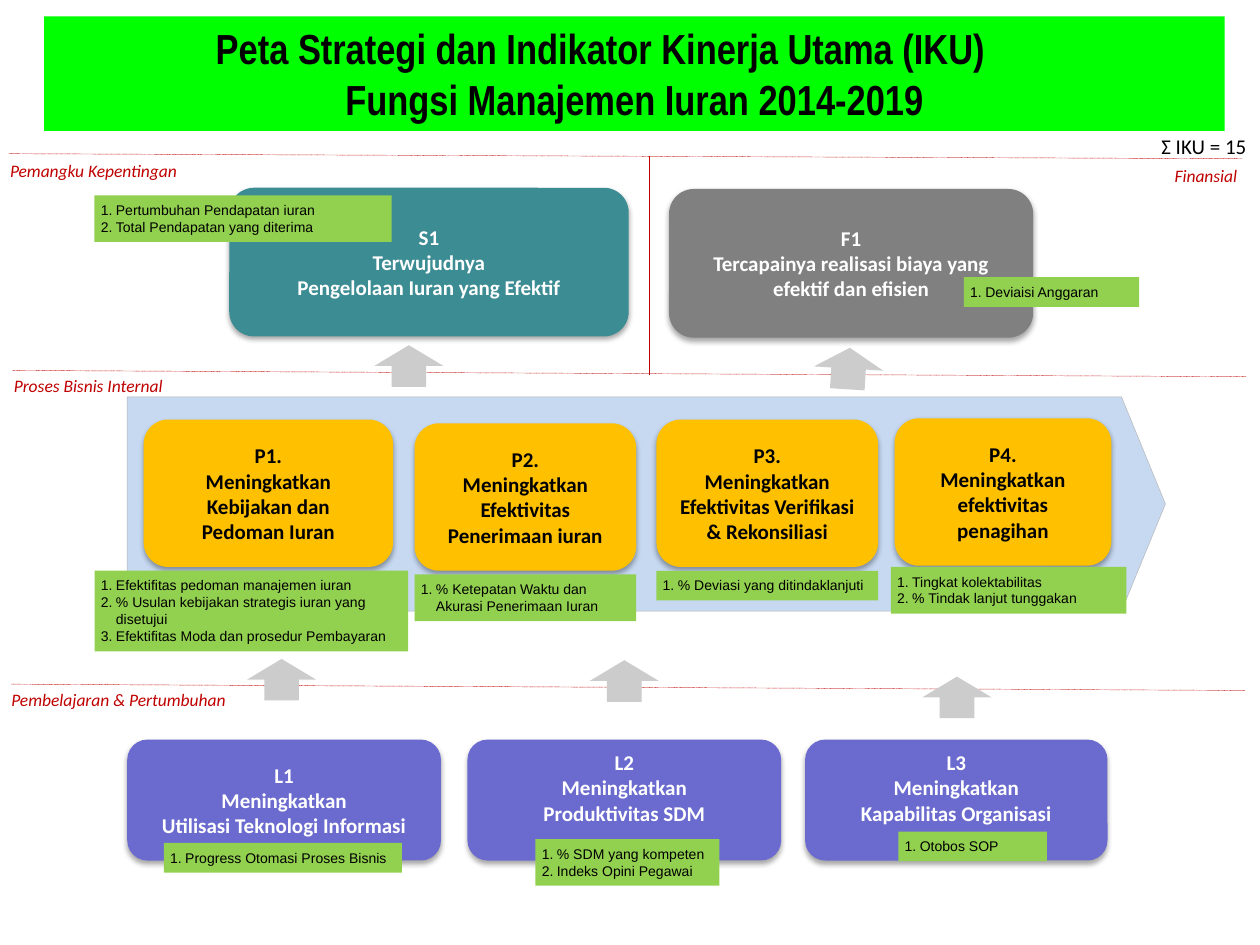
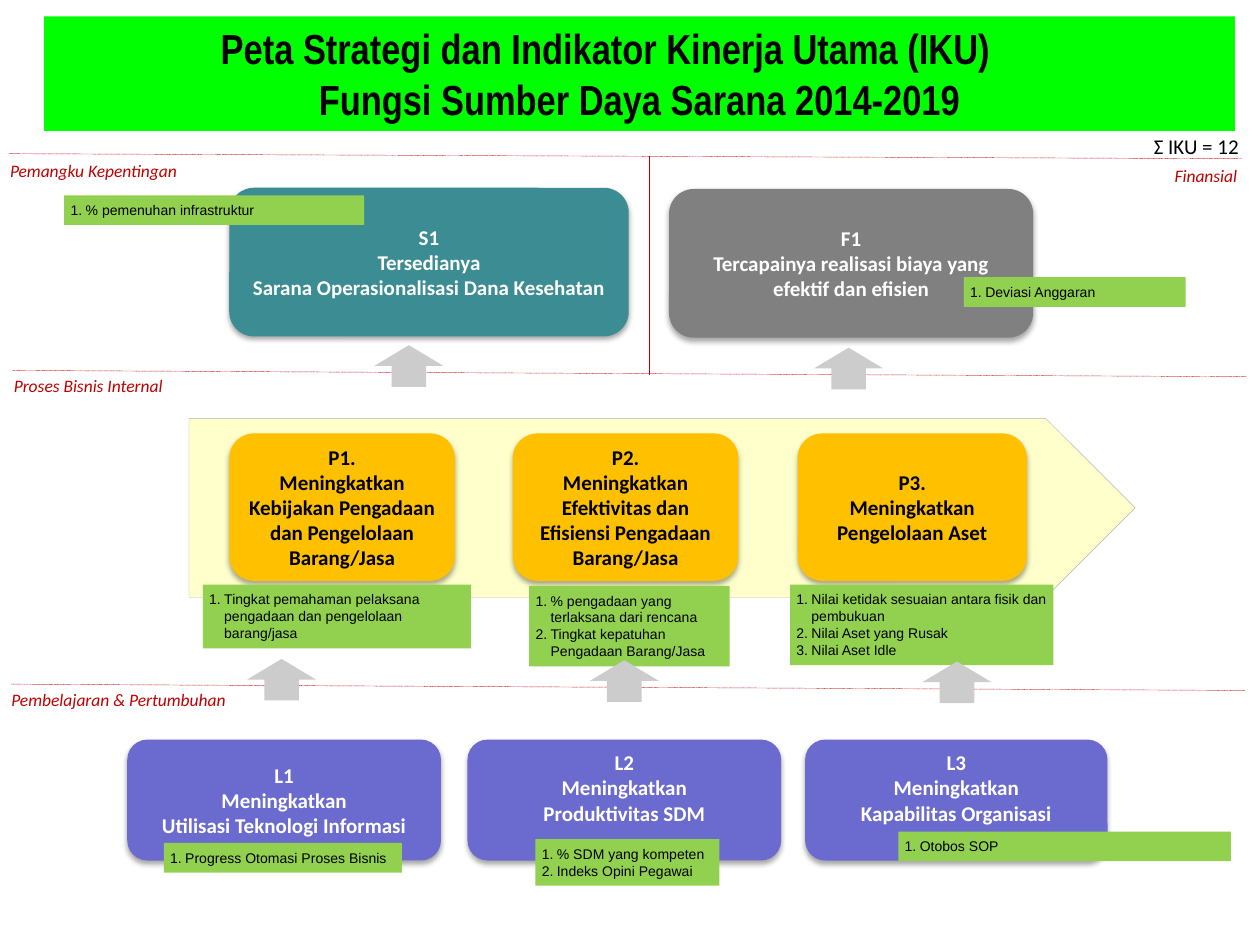
"""Two strategy maps with goals and key performance indicators by perspective."""
from lxml import etree
from pptx import Presentation
from pptx import util as u
from pptx.dml.color import RGBColor
from pptx.enum import dml, shapes, text
from pptx.oxml import parse_xml
from pptx.oxml.ns import nsdecls, qn

RED, BLACK, GREY = "C00000", "000000", "B3B3B3"
TITLE_FILL, INDICATOR_FILL, ARROW_FILL = "00FF00", "92D050", "CCCCCC"
PERSPECTIVES = {
    "S": dict(fill="3C8C93", ink="FFFFFF", height=1.18),
    "F": dict(fill="808080", ink="FFFFFF", height=1.18),
    "P": dict(fill="FFC000", ink=BLACK, height=1.17),
    "L": dict(fill="6B6BCF", ink="FFFFFF", height=0.96),
}
HEADING = "Peta Strategi dan Indikator Kinerja Utama (IKU)"
HEADING_SHIFT = 0.54
LABELS = [
    ("Pemangku Kepentingan", 0.08, 1.27, 1.67, "LEFT"),
    ("Finansial", 9.16, 1.31, 0.66, "RIGHT"),
    ("Proses Bisnis Internal", 0.11, 2.98, 1.67, "LEFT"),
    ("Pembelajaran & Pertumbuhan", 0.09, 5.47, 1.81, "LEFT"),
]
DIVIDERS = [
    (0.07, 1.22, 9.86, 1.26),
    (5.15, 1.24, 5.15, 2.97),
    (0.1, 2.94, 9.89, 2.99),
    (0.09, 5.43, 9.88, 5.48),
]
ARROWS = [(2.97, 2.74), (6.46, 2.76), (1.96, 5.23), (4.68, 5.24)]

SHARED_GOALS = [
    (["F1", "Tercapainya realisasi biaya yang efektif dan efisien"], 5.31, 1.5, 2.89),
    (["L1", "Meningkatkan", "Utilisasi Teknologi Informasi"], 1.01, 5.87, 2.49),
    (["L2", "Meningkatkan", "Produktivitas SDM"], 3.71, 5.87, 2.49),
    (["L3", "Meningkatkan", "Kapabilitas Organisasi"], 6.39, 5.87, 2.4),
]
RAISED_GOALS = ("L2", "L3")
SHARED_INDICATORS = [
    (["Progress Otomasi Proses Bisnis"], 1.3, 6.69, 1.89, 1),
    (["% SDM yang kompeten", "Indeks Opini Pegawai"], 4.25, 6.66, 1.46, 2),
]

MAPS = [
    dict(
        subject="Fungsi Manajemen Iuran 2014-2019", title_width=9.37,
        total="Ʃ IKU = 15", total_left=9.07,
        chain=(1.01, 3.15, 8.24, 1.7), chain_fill="C6D9F1", chain_point=0.205,
        tilt=3.5, last_arrow=(7.32, 5.37),
        goals=[
            (["S1", "Terwujudnya", "Pengelolaan Iuran yang Efektif"], 1.82, 1.49, 3.17),
            (["P1.", "Meningkatkan", "Kebijakan dan Pedoman Iuran"], 1.14, 3.33, 1.98),
            (["P2.", "Meningkatkan", "Efektivitas Penerimaan iuran"], 3.29, 3.36, 1.76),
            (["P3.", "Meningkatkan", "Efektivitas Verifikasi & Rekonsiliasi"],
             5.21, 3.33, 1.76),
            (["P4.", "Meningkatkan efektivitas penagihan"], 7.1, 3.32, 1.72),
        ],
        indicators=[
            (["Pertumbuhan Pendapatan iuran", "Total Pendapatan yang diterima"],
             0.75, 1.55, 2.36, 2),
            (["Deviaisi Anggaran"], 7.65, 2.2, 1.39, 1),
            (["Efektifitas pedoman manajemen iuran",
              "% Usulan kebijakan strategis iuran yang disetujui",
              "Efektifitas Moda dan prosedur Pembayaran"], 0.75, 4.53, 2.49, 4),
            (["% Ketepatan Waktu dan Akurasi Penerimaan Iuran"], 3.29, 4.56, 1.76, 2),
            (["% Deviasi yang ditindaklanjuti"], 5.21, 4.53, 1.76, 1),
            (["Tingkat kolektabilitas", "% Tindak lanjut tunggakan"], 7.07, 4.5, 1.87, 2),
            (["Otobos SOP"], 7.13, 6.6, 1.18, 1),
        ],
    ),
    dict(
        subject="Fungsi Sumber Daya Sarana 2014-2019", title_width=9.45,
        total="Ʃ IKU = 12", total_left=9.01,
        chain=(1.5, 3.32, 7.51, 1.42), chain_fill="FFFFCC", chain_point=0.5,
        tilt=0, last_arrow=(7.32, 5.25),
        goals=[
            (["S1", "Tersedianya", "Sarana Operasionalisasi Dana Kesehatan"],
             1.82, 1.49, 3.17),
            (["P1.", "Meningkatkan Kebijakan Pengadaan dan Pengelolaan Barang/Jasa"],
             1.82, 3.44, 1.79),
            (["P2.", "Meningkatkan", "Efektivitas dan Efisiensi Pengadaan Barang/Jasa"],
             4.07, 3.44, 1.79),
            (["P3.", "Meningkatkan Pengelolaan Aset"], 6.33, 3.44, 1.82),
        ],
        indicators=[
            (["% pemenuhan infrastruktur"], 0.51, 1.55, 2.38, 1),
            (["Deviasi Anggaran"], 7.65, 2.2, 1.76, 1),
            (["Tingkat pemahaman pelaksana pengadaan dan pengelolaan barang/jasa"],
             1.61, 4.64, 2.13, 3),
            (["% pengadaan yang terlaksana dari rencana",
              "Tingkat kepatuhan Pengadaan Barang/Jasa"], 4.2, 4.65, 1.59, 4),
            (["Nilai ketidak sesuaian antara fisik dan pembukuan",
              "Nilai Aset yang Rusak", "Nilai Aset Idle"], 6.27, 4.64, 2.09, 4),
            (["Otobos SOP"], 7.13, 6.6, 2.64, 1),
        ],
    ),
]


def color(code):
    return RGBColor.from_string(code)


def inches(*lengths):
    return [u.Inches(length) for length in lengths]


def add_block(slide, preset, box, fill, outline=None):
    block = slide.shapes.add_shape(preset, *inches(*box))
    block.shadow.inherit = False
    block.fill.solid()
    block.fill.fore_color.rgb = color(fill)
    if outline:
        block.line.color.rgb = color(outline)
        block.line.width = u.Pt(0.25)
    else:
        block.line.fill.background()
    return block


def write(holder, lines, size, font, ink, align="CENTER", anchor="TOP",
          insets=(0.1, 0.05, 0.1, 0.05), bold=False, italic=False, numbered=False):
    frame = holder.text_frame
    frame.word_wrap = True
    frame.auto_size = text.MSO_AUTO_SIZE.NONE
    frame.vertical_anchor = text.MSO_ANCHOR[anchor]
    (frame.margin_left, frame.margin_top,
     frame.margin_right, frame.margin_bottom) = inches(*insets)
    frame.text = "\n".join(lines)
    for paragraph in frame.paragraphs:
        paragraph.alignment = text.PP_ALIGN[align]
        if numbered:
            props = paragraph._p.get_or_add_pPr()
            props.set("marL", str(u.Inches(0.12)))
            props.set("indent", str(u.Inches(-0.12)))
            etree.SubElement(props, qn("a:buAutoNum"), type="arabicPeriod")
        face = paragraph.font
        face.size, face.name = u.Pt(size), font
        face.bold, face.italic = bold, italic
        face.color.rgb = color(ink)


def add_title(slide, subject, width):
    title = slide.shapes.title
    title.left, title.top, title.width, title.height = inches(0.35, 0.13, width, 0.91)
    title.fill.solid()
    title.fill.fore_color.rgb = color(TITLE_FILL)
    write(title, [HEADING, subject], 24, "Arial Narrow", BLACK, bold=True,
          insets=(0.1, 0.05, 0.1 + HEADING_SHIFT, 0.05))
    subject_props = title.text_frame.paragraphs[1]._p.get_or_add_pPr()
    subject_props.set("marL", str(u.Inches(HEADING_SHIFT)))
    subject_props.set("indent", "0")


def add_divider(slide, ends):
    divider = slide.shapes.add_connector(shapes.MSO_CONNECTOR.STRAIGHT, *inches(*ends))
    divider.line.color.rgb = color(RED)
    divider.line.width = u.Pt(0.25)
    divider.line.dash_style = dml.MSO_LINE.ROUND_DOT
    etree.SubElement(divider._element.spPr, qn("a:effectLst"))


def add_goal(slide, lines, left, top, width):
    look = PERSPECTIVES[lines[0][0]]
    goal = add_block(slide, shapes.MSO_SHAPE.ROUNDED_RECTANGLE,
                     (left, top, width, look["height"]), look["fill"])
    goal._element.spPr.find(qn("a:effectLst")).append(parse_xml(
        f'<a:outerShdw {nsdecls("a")} blurRad="{u.Pt(3.1)}" dist="{u.Pt(1.8)}" '
        'dir="5400000" rotWithShape="0"><a:srgbClr val="000000">'
        '<a:alpha val="35000"/></a:srgbClr></a:outerShdw>'))
    insets = (0.1, 0, 0.1, 0.2) if lines[0] in RAISED_GOALS else (0.1, 0.05, 0.1, 0.05)
    write(goal, lines, 12, "Calibri", look["ink"], anchor="MIDDLE",
          insets=insets, bold=True)


def add_indicators(slide, items, left, top, width, rows):
    panel = add_block(slide, shapes.MSO_SHAPE.RECTANGLE,
                      (left, top, width, 0.1 + 0.135 * rows), INDICATOR_FILL)
    write(panel, items, 8, "Arial", BLACK, align="LEFT", insets=[0.05] * 4, numbered=True)


def build_map(slide, plan):
    add_title(slide, plan["subject"], plan["title_width"])
    chain = add_block(slide, shapes.MSO_SHAPE.PENTAGON, plan["chain"],
                      plan["chain_fill"], GREY)
    chain.adjustments[0] = plan["chain_point"]
    for ends in DIVIDERS:
        add_divider(slide, ends)
    for goal in SHARED_GOALS + plan["goals"]:
        add_goal(slide, *goal)
    for group in SHARED_INDICATORS + plan["indicators"]:
        add_indicators(slide, *group)
    for name, left, top, width, align in LABELS:
        label = slide.shapes.add_textbox(*inches(left, top, width, 0.17))
        write(label, [name], 10, "Calibri", RED, align=align, insets=[0] * 4, italic=True)
    total = slide.shapes.add_textbox(*inches(plan["total_left"], 1.01, 0.97, 0.3))
    write(total, [plan["total"]], 12, "Calibri", BLACK)
    for place in ARROWS + [plan["last_arrow"]]:
        arrow = add_block(slide, shapes.MSO_SHAPE.UP_ARROW, (*place, 0.55, 0.33), ARROW_FILL)
        if place == ARROWS[1]:
            arrow.rotation = plan["tilt"]


def main():
    deck = Presentation()
    deck.slide_width, deck.slide_height = inches(10, 7.5)
    title_only = deck.slide_layouts[5]
    for plan in MAPS:
        build_map(deck.slides.add_slide(title_only), plan)
    deck.save("out.pptx")


if __name__ == "__main__":
    main()
